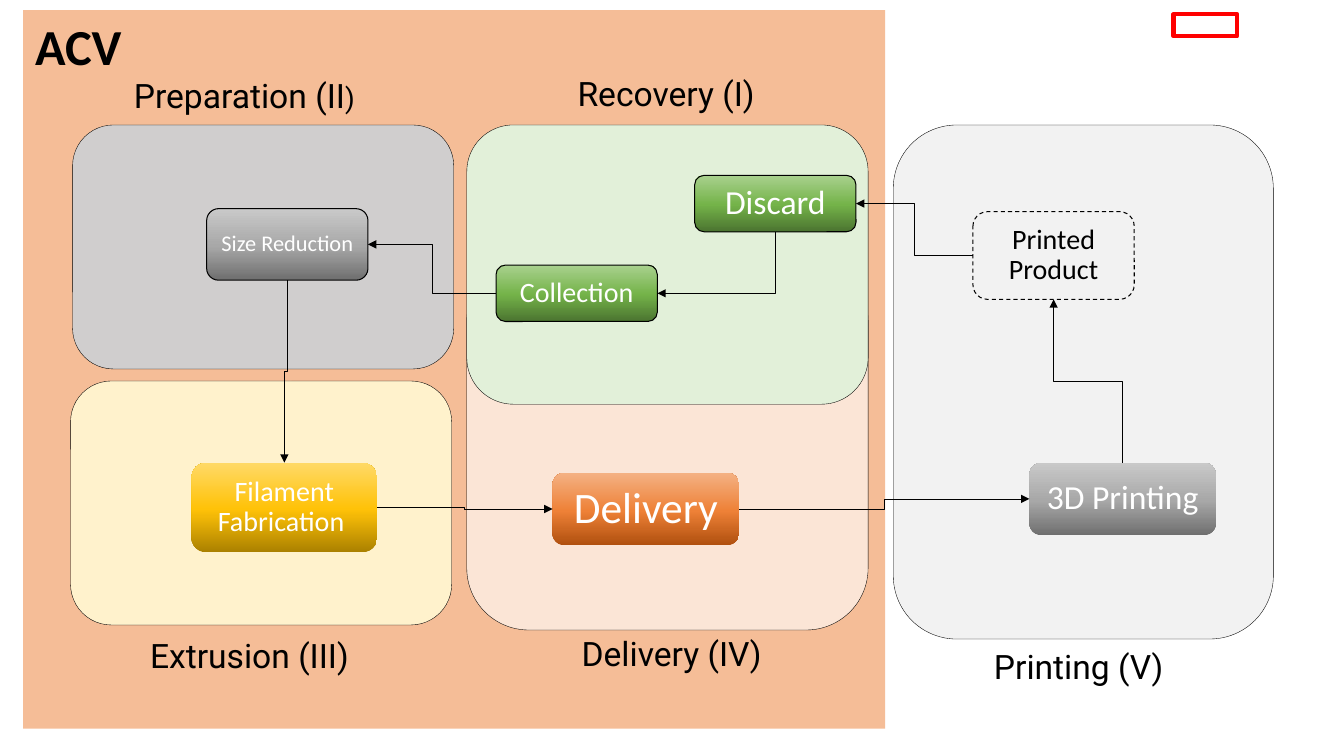
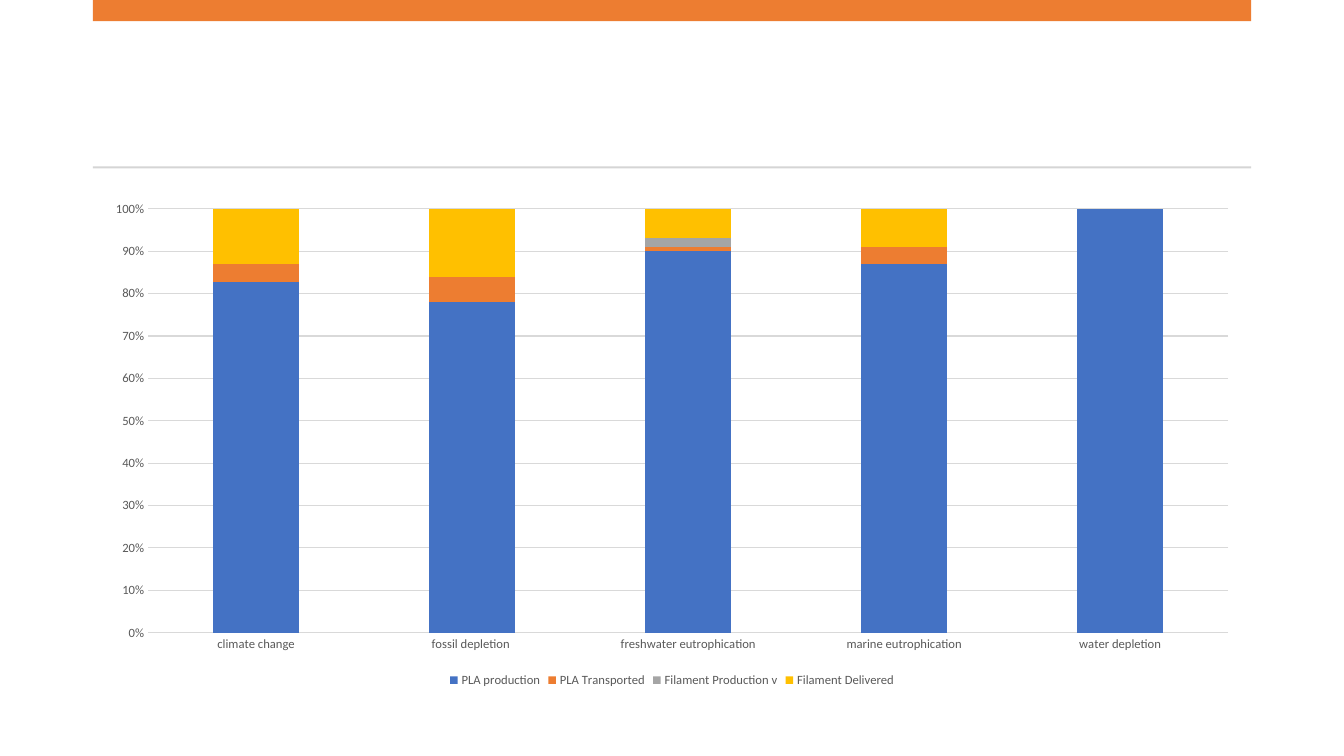
"""Build two slides: a recycling flow for 3D printing and its impact shares."""
from copy import deepcopy
from dataclasses import dataclass

from lxml.etree import SubElement
from pptx import Presentation
from pptx.chart.data import CategoryChartData
from pptx.dml.color import RGBColor
from pptx.enum.chart import XL_CHART_TYPE as ChartType
from pptx.enum.chart import XL_LEGEND_POSITION as LegendPosition
from pptx.enum.chart import XL_TICK_MARK as TickMark
from pptx.enum.dml import MSO_LINE as LineStyle
from pptx.enum.shapes import MSO_CONNECTOR as ConnectorType
from pptx.enum.shapes import MSO_SHAPE as ShapeType
from pptx.enum.text import MSO_ANCHOR as Anchor
from pptx.enum.text import PP_ALIGN as Align
from pptx.oxml.ns import qn
from pptx.shapes.autoshape import Shape
from pptx.slide import Slide
from pptx.util import Emu, Pt

PX = 9144
SLIDE_WIDTH, SLIDE_HEIGHT = 1333, 750
BODY_FONT, LABEL_FONT = "Calibri", "Roboto"
TOP, LEFT, BOTTOM, RIGHT = range(4)

COLORS = {
    "black": "000000", "white": "FFFFFF", "red": "FF0000",
    "orange": "ED7D31", "blue": "4472C4", "grey": "A5A5A5", "gold": "FFC000",
    "extrusion": "FFF2CC", "printing": "F2F2F2", "delivery": "FBE5D6",
    "recovery": "E2F0D9", "preparation": "D0CECE",
    "rule": "D5D5D5", "grid": "D9D9D9", "axis text": "595959",
}
GRADIENTS = {
    "green": ("4B7430", "74B349", "A9D18E"),
    "grey": ("6F6F6F", "A8A8A8", "C9C9C9"),
    "gold": ("AB8100", "FFC208", "FFD966"),
    "orange": ("B0500F", "EE8137", "F4B183"),
}
GRADIENT_POSITIONS = (0, 0.48, 1)


@dataclass(frozen=True)
class Box:
    left: int
    top: int
    width: int
    height: int

    def emu(self) -> tuple[Emu, ...]:
        return tuple(Emu(side * PX) for side in
                     (self.left, self.top, self.width, self.height))


@dataclass(frozen=True)
class Stage:
    color: str
    box: Box


@dataclass(frozen=True)
class Step:
    name: str
    box: Box
    size: int
    gradient: str = ""
    outlined: bool = True


@dataclass(frozen=True)
class Flow:
    source: str
    source_side: int
    target: str
    target_side: int


@dataclass(frozen=True)
class Label:
    runs: tuple[tuple[str, int], ...]
    box: Box


@dataclass(frozen=True)
class Impact:
    name: str
    color: str
    shares: tuple[int, ...]


STAGES = (
    Stage("extrusion", Box(70, 378, 378, 242)),
    Stage("printing", Box(886, 124, 377, 510)),
    Stage("delivery", Box(463, 257, 398, 368)),
    Stage("recovery", Box(463, 124, 398, 277)),
    Stage("preparation", Box(72, 124, 378, 242)),
)
STEPS = (
    Step("Discard", Box(689, 174, 160, 56), 24, "green"),
    Step("Collection", Box(492, 263, 160, 56), 20, "green"),
    Step("Size Reduction", Box(205, 207, 160, 71), 16, "grey"),
    Step("Filament Fabrication ", Box(190, 459, 184, 89), 20, "gold", False),
    Step("Delivery", Box(548, 469, 185, 72), 31, "orange", False),
    Step("3D Printing", Box(1021, 459, 185, 72), 24, "grey", False),
    Step("Printed Product", Box(965, 210, 160, 87), 20),
)
FLOWS = (
    Flow("Discard", BOTTOM, "Collection", RIGHT),
    Flow("Printed Product", LEFT, "Discard", RIGHT),
    Flow("Collection", LEFT, "Size Reduction", RIGHT),
    Flow("Filament Fabrication ", RIGHT, "Delivery", LEFT),
    Flow("Delivery", RIGHT, "3D Printing", LEFT),
    Flow("3D Printing", TOP, "Printed Product", BOTTOM),
    Flow("Size Reduction", BOTTOM, "Filament Fabrication ", TOP),
)
LABELS = (
    Label((("Recovery (I)", 24),), Box(563, 72, 253, 50)),
    Label((("Preparation (II", 24), (")", 20)), Box(123, 74, 296, 50)),
    Label((("Extrusion (III)", 24),), Box(139, 629, 296, 50)),
    Label((("Printing (V)", 24),), Box(976, 640, 241, 50)),
    Label((("Delivery (IV)", 24),), Box(567, 628, 249, 50)),
)
CATEGORIES = ("climate change", "fossil depletion ", "freshwater eutrophication",
              "marine eutrophication", "water depletion")
IMPACTS = (
    Impact("PLA production", "blue", (82, 78, 90, 87, 100)),
    Impact("PLA Transported", "orange", (4, 6, 1, 4, 0)),
    Impact("Filament Production v", "grey", (0, 0, 2, 0, 0)),
    Impact("Filament Delivered", "gold", (13, 16, 7, 9, 0)),
)


def rgb(name: str) -> RGBColor:
    return RGBColor.from_string(COLORS[name])


def style_font(font, size: float, color: str, face: str = BODY_FONT) -> None:
    font.name, font.size = face, Pt(size)
    font.color.rgb = rgb(color)


def add_box(slide: Slide, box: Box, fill: str = "", line: str = "",
            weight: float = 0, rounded: bool = False) -> Shape:
    kind = ShapeType.ROUNDED_RECTANGLE if rounded else ShapeType.RECTANGLE
    shape = slide.shapes.add_shape(kind, *box.emu())
    shape.shadow.inherit = False
    if fill:
        shape.fill.solid()
        shape.fill.fore_color.rgb = rgb(fill)
    else:
        shape.fill.background()
    if line:
        shape.line.color.rgb = rgb(line)
        shape.line.width = Pt(weight)
    else:
        shape.line.fill.background()
    return shape


def apply_gradient(shape: Shape, name: str) -> None:
    shape.fill.gradient()
    shape.fill.gradient_angle = 90
    stop_list = shape._element.spPr.find(qn("a:gradFill")).find(qn("a:gsLst"))
    stop_list.append(deepcopy(stop_list[0]))
    for stop, color, position in zip(shape.fill.gradient_stops,
                                     GRADIENTS[name], GRADIENT_POSITIONS):
        stop.color.rgb = RGBColor.from_string(color)
        stop.position = position


def add_step(slide: Slide, step: Step) -> Shape:
    card = add_box(slide, step.box, line="black" if step.outlined else "",
                   weight=0.75, rounded=True)
    if step.gradient:
        apply_gradient(card, step.gradient)
    else:
        card.line.dash_style = LineStyle.DASH
    card.text_frame.word_wrap = True
    card.text_frame.vertical_anchor = Anchor.MIDDLE
    paragraph = card.text_frame.paragraphs[0]
    paragraph.text = step.name
    paragraph.alignment = Align.CENTER
    paragraph.line_spacing, paragraph.space_after = 0.9, Pt(6)
    style_font(paragraph.font, step.size, "white" if step.gradient else "black")
    return card


def add_flow(slide: Slide, flow: Flow, cards: dict[str, Shape]) -> None:
    arrow = slide.shapes.add_connector(ConnectorType.ELBOW, 0, 0, 0, 0)
    arrow.begin_connect(cards[flow.source], flow.source_side)
    arrow.end_connect(cards[flow.target], flow.target_side)
    properties = arrow._element.spPr
    if flow.source_side in (TOP, BOTTOM):
        turn_upright(arrow)
        if flow.target_side in (LEFT, RIGHT):
            properties.find(qn("a:prstGeom")).set("prst", "bentConnector2")
    arrow.line.color.rgb = rgb("black")
    arrow.line.width = Pt(0.5)
    SubElement(properties.find(qn("a:ln")), qn("a:tailEnd"), type="triangle")
    SubElement(properties, qn("a:effectLst"))


def turn_upright(arrow) -> None:
    across = arrow.end_x - arrow.begin_x
    down = arrow.end_y - arrow.begin_y
    middle_x = (arrow.begin_x + arrow.end_x) // 2
    middle_y = (arrow.begin_y + arrow.end_y) // 2
    frame = arrow._element.spPr.find(qn("a:xfrm"))
    for flip in ("flipH", "flipV"):
        frame.attrib.pop(flip, None)
    frame.set("rot", str((90 if down > 0 else 270) * 60000))
    if (across > 0) == (down > 0):
        frame.set("flipV", "1")
    arrow.width, arrow.height = Emu(abs(down)), Emu(abs(across))
    arrow.left = Emu(middle_x - arrow.width // 2)
    arrow.top = Emu(middle_y - arrow.height // 2)


def add_label(slide: Slide, label: Label) -> None:
    frame = slide.shapes.add_textbox(*label.box.emu()).text_frame
    frame.word_wrap = True
    paragraph = frame.paragraphs[0]
    paragraph.line_spacing, paragraph.space_after = 0.9, Pt(6)
    for text, size in label.runs:
        run = paragraph.add_run()
        run.text = text
        style_font(run.font, size, "black", LABEL_FONT)


def build_flow_slide(slide: Slide) -> None:
    scope = add_box(slide, Box(23, 10, 855, 713), "orange")
    scope_color = scope._element.spPr.find(qn("a:solidFill"))[0]
    SubElement(scope_color, qn("a:alpha"), val="50000")
    scope_frame = slide.shapes.add_textbox(*Box(25, 10, 233, 71).emu()).text_frame
    scope_frame.word_wrap = True
    scope_name = scope_frame.paragraphs[0]
    scope_name.text = "ACV"
    style_font(scope_name.font, 36, "black")
    scope_name.font.bold = True
    for stage in STAGES:
        add_box(slide, stage.box, stage.color, "black", 0.25, rounded=True)
    cards = {step.name: add_step(slide, step) for step in STEPS}
    for flow in FLOWS:
        add_flow(slide, flow, cards)
    for label in LABELS:
        add_label(slide, label)
    add_box(slide, Box(1164, 14, 63, 22), line="red", weight=3)


def build_impact_slide(slide: Slide) -> None:
    add_box(slide, Box(92, 0, 1149, 21), "orange")
    add_box(slide, Box(92, 165, 1149, 2), "rule")
    data = CategoryChartData()
    data.categories = CATEGORIES
    for impact in IMPACTS:
        data.add_series(impact.name, impact.shares)
    chart = slide.shapes.add_chart(ChartType.COLUMN_STACKED_100,
                                   *Box(92, 190, 1149, 496).emu(), data).chart
    style_font(chart.font, 10, "black")
    chart.has_title = False
    chart.has_legend = True
    chart.legend.position = LegendPosition.BOTTOM
    chart.legend.include_in_layout = False
    style_font(chart.legend.font, 9, "axis text")
    columns = chart.plots[0]
    columns.gap_width, columns.overlap = 150, 100
    columns.vary_by_categories = False
    for series, impact in zip(columns.series, IMPACTS):
        series.format.fill.solid()
        series.format.fill.fore_color.rgb = rgb(impact.color)
    shares = chart.value_axis
    for axis in (chart.category_axis, shares):
        axis.major_tick_mark = axis.minor_tick_mark = TickMark.NONE
        style_font(axis.tick_labels.font, 9, "axis text")
    shares.tick_labels.number_format = "0%"
    shares.tick_labels.number_format_is_linked = False
    shares.format.line.fill.background()
    for line in (chart.category_axis.format.line, shares.major_gridlines.format.line):
        line.color.rgb = rgb("grid")
        line.width = Pt(0.75)


def main() -> None:
    deck = Presentation()
    deck.slide_width, deck.slide_height = Emu(SLIDE_WIDTH * PX), Emu(SLIDE_HEIGHT * PX)
    for build in (build_flow_slide, build_impact_slide):
        build(deck.slides.add_slide(deck.slide_layouts[6]))
    deck.save("out.pptx")


if __name__ == "__main__":
    main()
